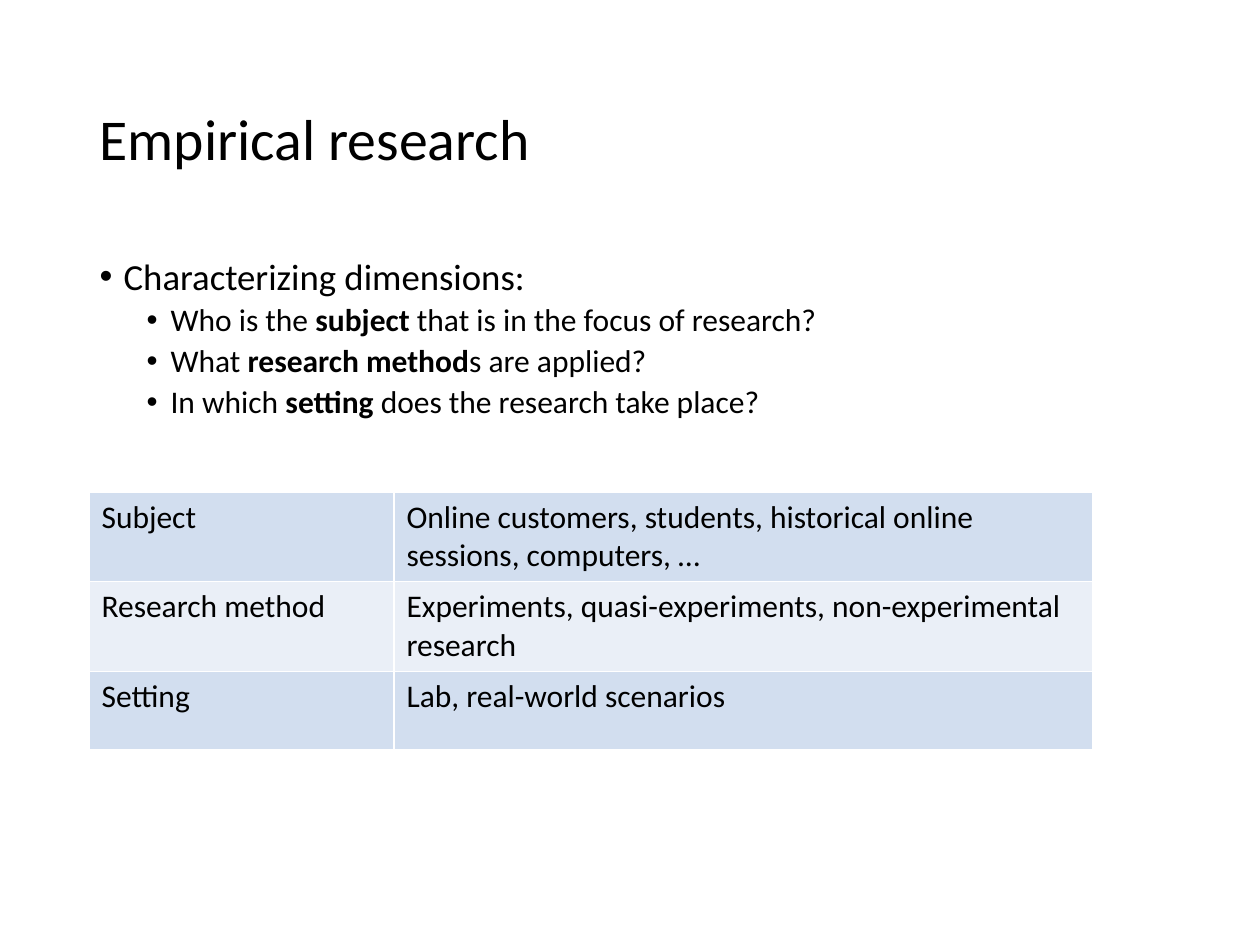
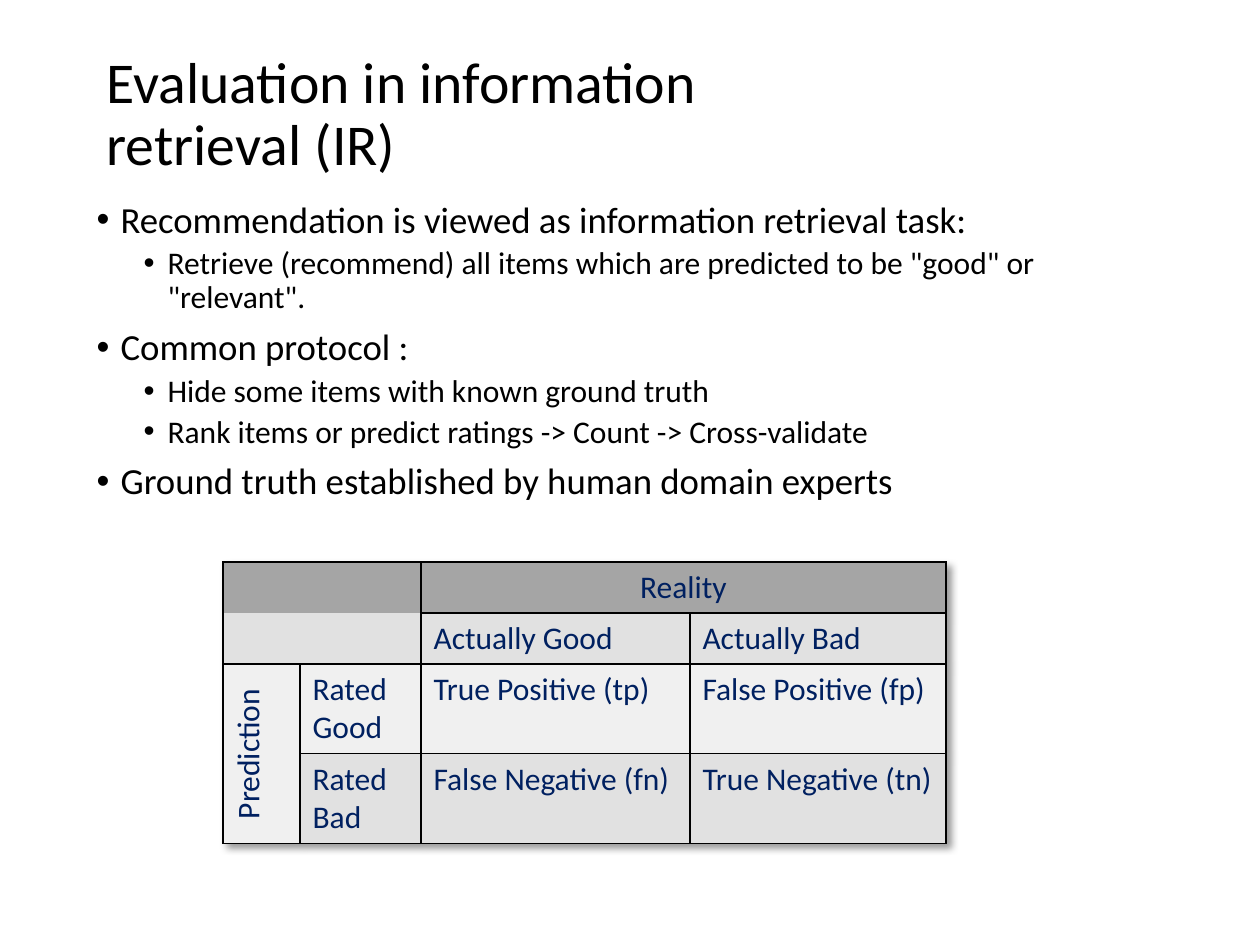
import pptx
import pptx.dml.color
import pptx.enum.text
import pptx.oxml
import pptx.oxml.ns
import pptx.util
import lxml.etree

HUES = {
    "text": "000000", "navy": "002060", "white": "FFFFFF",
    "blue": "D2DEEF", "pale": "EAEFF7",
    "dark": "A5A5A5", "mid": "E1E1E1", "light": "F0F0F0",
}
LEVELS = [(21, 24, 7.5), (18, 71, 3.8)]
HANG = 24
ALIGN = pptx.enum.text.PP_ALIGN


def emu(px):
    return round(px * 914400 / 126)


def add_tag(parent, tag, **attrs):
    node = lxml.etree.SubElement(parent, pptx.oxml.ns.qn("a:" + tag))
    for key, value in attrs.items():
        node.set(key, str(value))
    return node


class Deck:
    font = "Calibri"

    def __init__(self, width, height):
        self.file = pptx.Presentation()
        self.file.slide_width = emu(width)
        self.file.slide_height = emu(height)
        self.slide = None

    def page(self):
        self.slide = self.file.slides.add_slide(self.file.slide_layouts[1])

    def run(self, para, text, size, hue="text", bold=False):
        run = para.add_run()
        run.text = text
        run.font.name = self.font
        run.font.size = pptx.util.Pt(size)
        run.font.bold = bold
        run.font.color.rgb = pptx.dml.color.RGBColor.from_string(HUES[hue])

    def place(self, holder, box):
        holder.left, holder.top, holder.width, holder.height = map(emu, box)
        frame = holder.text_frame
        frame.auto_size = pptx.enum.text.MSO_AUTO_SIZE.NONE
        frame.word_wrap = True
        return frame

    def title(self, text, *box):
        frame = self.place(self.slide.shapes.title, box)
        frame.vertical_anchor = pptx.enum.text.MSO_ANCHOR.MIDDLE
        para = frame.paragraphs[0]
        para.alignment = ALIGN.LEFT
        para.line_spacing = 0.9
        self.run(para, text, 33)

    def body(self, items, *box):
        frame = self.place(self.slide.placeholders[1], box)
        for index, (level, *parts) in enumerate(items):
            para = frame.add_paragraph() if index else frame.paragraphs[0]
            size, indent, space = LEVELS[level]
            para.level = level
            para.line_spacing = 0.9
            para.space_before = pptx.util.Pt(space)
            props = para._p.get_or_add_pPr()
            props.set("marL", str(emu(indent)))
            props.set("indent", str(-emu(HANG)))
            add_tag(props, "buFont", typeface="Arial")
            add_tag(props, "buChar", char="•")
            for place, text in enumerate(parts):
                self.run(para, text, size, bold=place % 2 == 1)

    def table(self, rows, left, top, widths, heights):
        frame = self.slide.shapes.add_table(
            len(rows), len(widths), emu(left), emu(top),
            emu(sum(widths)), emu(sum(heights)))
        table = frame.table
        table.first_row = table.horz_banding = False
        for col, width in zip(table.columns, widths):
            col.width = emu(width)
        for row, height in zip(table.rows, heights):
            row.height = emu(height)
        return table

    def cell(self, cell, text, fill, hue, line, bare="", align=ALIGN.LEFT):
        props = cell._tc.get_or_add_tcPr()
        for side in "LRTB":
            edge = add_tag(props, "ln" + side, w=12700)
            if side in bare:
                add_tag(edge, "noFill")
            else:
                add_tag(add_tag(edge, "solidFill"), "srgbClr", val=HUES[line])
        cell.fill.solid()
        cell.fill.fore_color.rgb = pptx.dml.color.RGBColor.from_string(HUES[fill])
        if text:
            para = cell.text_frame.paragraphs[0]
            para.alignment = align
            self.run(para, text, 18, hue)

    def shade(self, table):
        props = table._tbl.tblPr
        effect = add_tag(props, "effectLst")
        props.insert(0, effect)
        shadow = add_tag(effect, "outerShdw", blurRad=50800, dist=38100,
                         dir=2700000, algn="tl", rotWithShape=0)
        add_tag(add_tag(shadow, "prstClr", val="black"), "alpha", val=40000)


def research(deck):
    deck.page()
    deck.title("Empirical research", 87, 50, 1086, 183)
    deck.body([
        (0, "Characterizing dimensions:"),
        (1, "Who is the ", "subject", " that is in the focus of research?"),
        (1, "What ", "research method", "s are applied?"),
        (1, "In which ", "setting", " does the research take place?"),
    ], 87, 252, 1086, 600)
    rows = [
        ("Subject", "Online customers, students, historical online sessions, computers, …"),
        ("Research method", "Experiments, quasi-experiments, non-experimental research"),
        ("Setting", "Lab, real-world scenarios"),
    ]
    table = deck.table(rows, 89, 492, [305, 699], [89, 90, 78])
    for y, row in enumerate(rows):
        for x, text in enumerate(row):
            deck.cell(table.cell(y, x), text, ("blue", "pale")[y % 2], "text", "white")


def matrix(deck):
    deck.page()
    deck.title("Evaluation in information retrieval (IR)", 94, 37, 814, 158)
    deck.body([
        (0, "Recommendation is viewed as information retrieval task:"),
        (1, 'Retrieve (recommend) all items which are predicted to be "good" or "relevant".'),
        (0, "Common protocol :"),
        (1, "Hide some items with known ground truth"),
        (1, "Rank items or predict ratings -> Count -> Cross-validate"),
        (0, "Ground truth established by human domain experts"),
    ], 84, 195, 1012, 625)
    rows = [
        ("", "", "Reality", ""),
        ("", "", "Actually Good", "Actually Bad"),
        ("Prediction", "Rated Good", "True Positive (tp)", "False Positive (fp)"),
        ("", "Rated Bad", "False Negative (fn)", "True Negative (tn)"),
    ]
    fills = ["dark", "mid", "light", "mid"]
    bare = {(0, 0): "RB", (0, 1): "LB", (1, 0): "RT", (1, 1): "LT"}
    table = deck.table(rows, 223, 562, [77, 121, 269, 256], [51, 51, 89, 90])
    table.cell(0, 2).merge(table.cell(0, 3))
    table.cell(2, 0).merge(table.cell(3, 0))
    for y, row in enumerate(rows):
        for x, text in enumerate(row):
            cell = table.cell(y, x)
            align = ALIGN.CENTER if cell.is_merge_origin else ALIGN.LEFT
            deck.cell(cell, text, fills[y], "navy", "text", bare.get((y, x), ""), align)
    table.cell(2, 0)._tc.get_or_add_tcPr().set("vert", "vert270")
    deck.shade(table)


def main():
    deck = Deck(1260, 945)
    research(deck)
    matrix(deck)
    deck.file.save("out.pptx")


if __name__ == "__main__":
    main()
